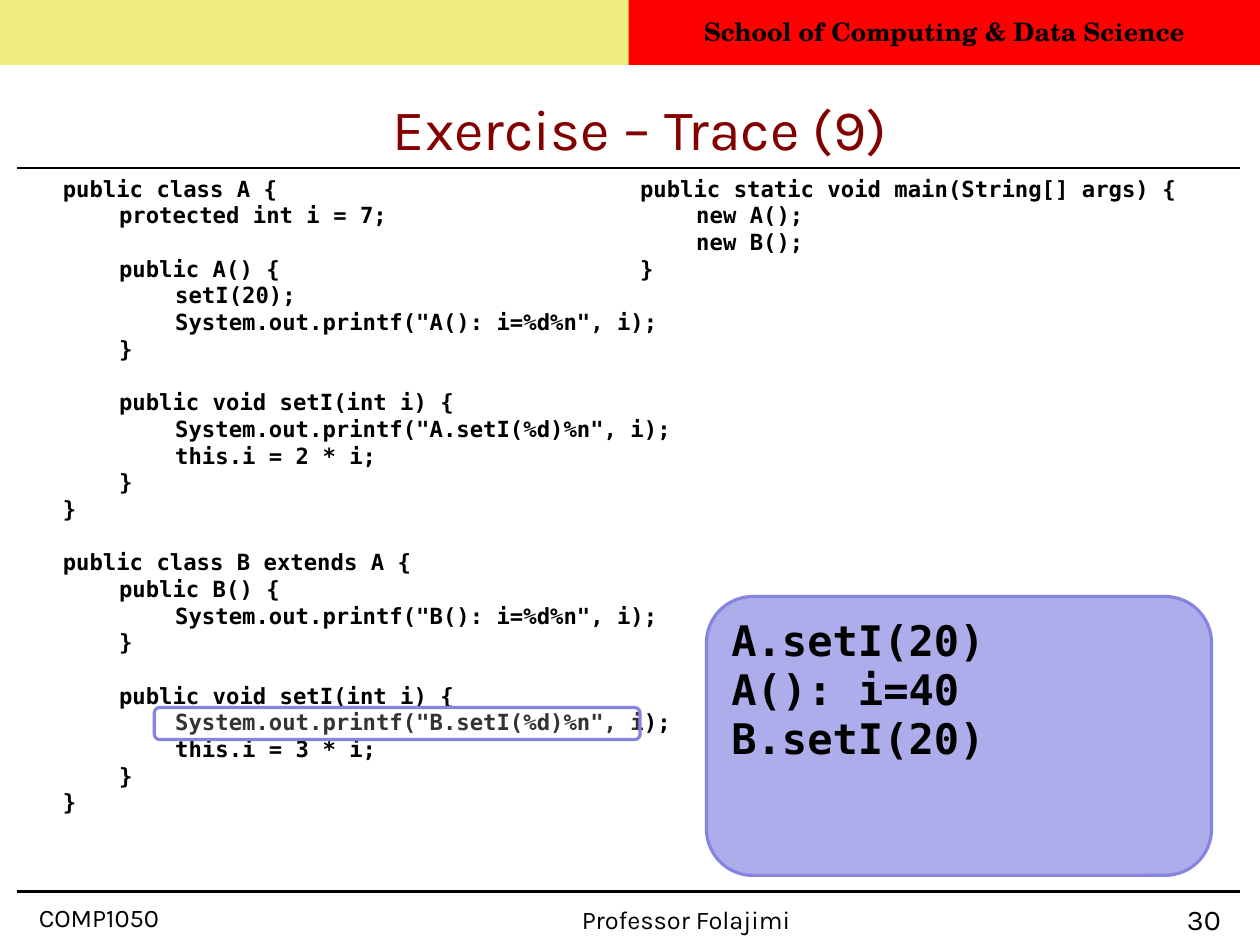
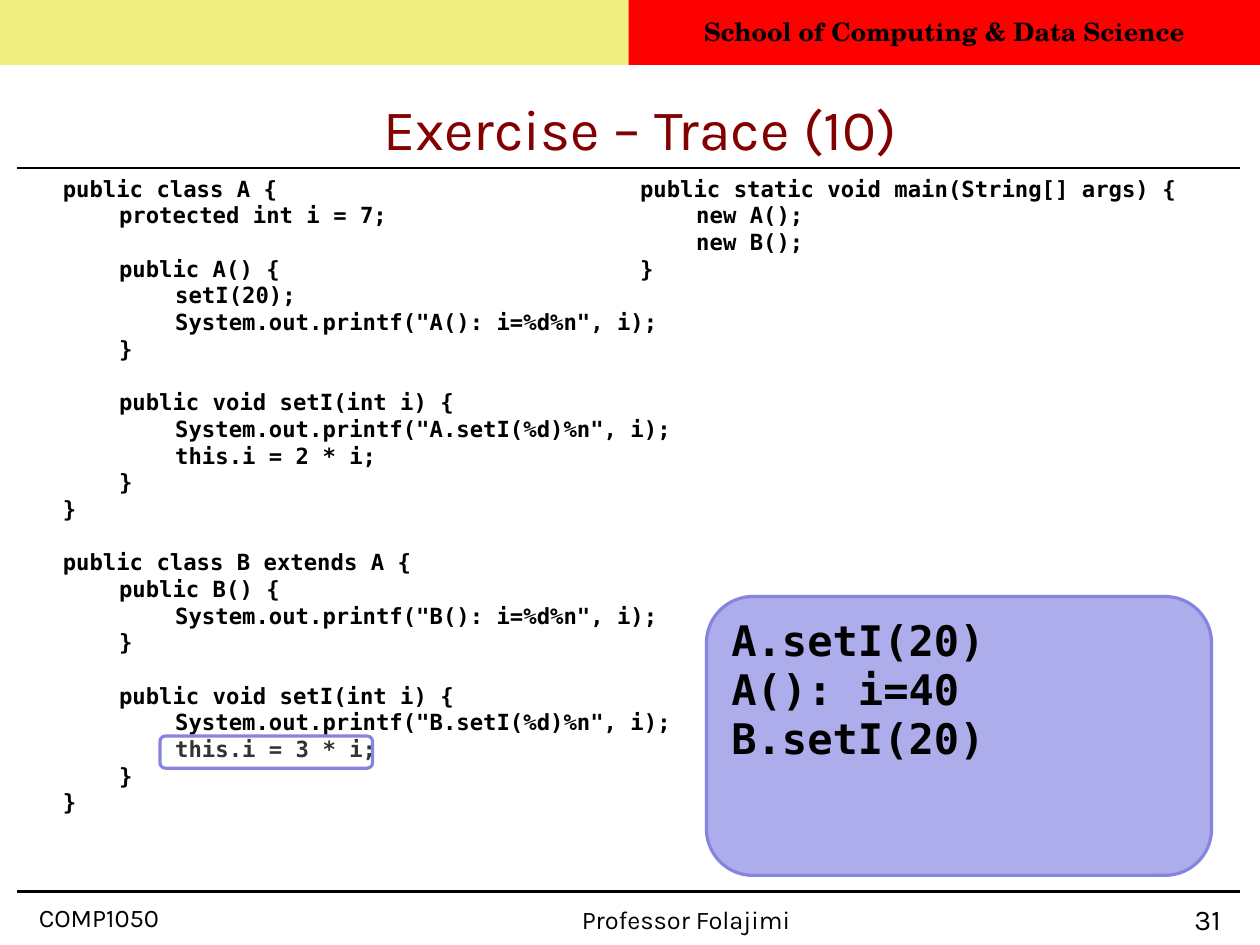
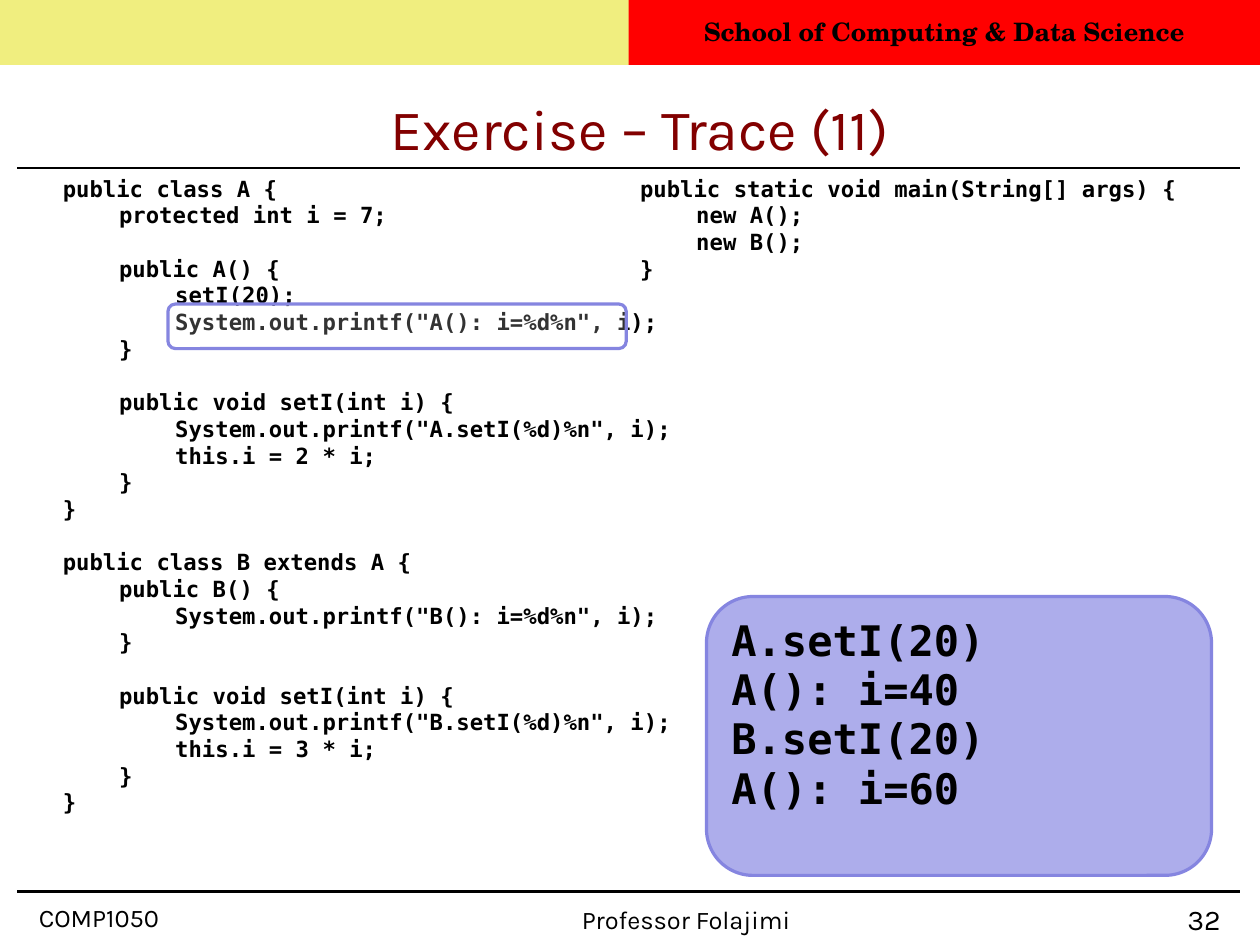
from pptx import Presentation
from pptx.dml.color import RGBColor
from pptx.enum.shapes import MSO_CONNECTOR, MSO_SHAPE
from pptx.enum.text import MSO_ANCHOR, PP_ALIGN
from pptx.oxml.ns import qn
from pptx.util import Pt
from lxml import etree

RECT, ROUND = MSO_SHAPE.RECTANGLE, MSO_SHAPE.ROUNDED_RECTANGLE
STRAIGHT = MSO_CONNECTOR.STRAIGHT
LEFT, CENTER, RIGHT = PP_ALIGN.LEFT, PP_ALIGN.CENTER, PP_ALIGN.RIGHT
TOP, MIDDLE = MSO_ANCHOR.TOP, MSO_ANCHOR.MIDDLE

BLACK = RGBColor(0x00, 0x00, 0x00)
WHITE = RGBColor(0xFF, 0xFF, 0xFF)
RED = RGBColor(0xFF, 0x00, 0x00)
YELLOW = RGBColor(0xE3, 0xDE, 0x00)
MAROON = RGBColor(0x82, 0x00, 0x00)
LILAC = RGBColor(0xAD, 0xAD, 0xEB)
VIOLET = RGBColor(0x85, 0x85, 0xE0)

SANS, SERIF, MONO = "Karla", "TeX Gyre Schola", "DejaVu Sans Mono"
WIDTH, HEIGHT = 793.7, 595.3
INDENT = 35.4   # one code level
PITCH = 16.8    # one code line

CLASSES = """\
public class A {
    protected int i = 7;

    public A() {
        setI(20);
        System.out.printf("A(): i=%d%n", i);
    }

    public void setI(int i) {
        System.out.printf("A.setI(%d)%n", i);
        this.i = 2 * i;
    }
}

public class B extends A {
    public B() {
        System.out.printf("B(): i=%d%n", i);
    }

    public void setI(int i) {
        System.out.printf("B.setI(%d)%n", i);
        this.i = 3 * i;
    }
}"""

MAIN = """\
public static void main(String[] args) {
    new A();
    new B();
}"""

OUTPUT = ["A.setI(20)", "A(): i=40", "B.setI(20)"]

# Trace step, frame around the current line, printed output
STEPS = [
    (9, (97.2, 445.7, 306, 20.2), OUTPUT),
    (10, (100.8, 463.7, 133.9, 20.2), OUTPUT),
    (11, (105.8, 191.5, 288.7, 28.1), OUTPUT + ["A(): i=60"]),
]
FIRST_PAGE = 30


def style(para, text, size, face, color=BLACK, bold=False,
          align=LEFT, space=1.0):
    para.text = text
    para.alignment = align
    para.line_spacing = space
    font = para.font
    font.size, font.name, font.bold = Pt(size), face, bold
    font.color.rgb = color


def add_lines(frame, lines, size, pitch):
    """Bold code; leading spaces set the level, a blank line sets a gap."""
    para, gap = frame.paragraphs[0], 0
    for num, line in enumerate(lines):
        code = line.lstrip()
        if not code:
            gap = pitch
            continue
        if num:
            para = frame.add_paragraph()
        style(para, code, size, MONO, bold=True, space=Pt(pitch))
        para.space_before = Pt(gap)
        level = (len(line) - len(code)) // 4
        props = para._p.get_or_add_pPr()
        props.set("marL", str(Pt(level * INDENT)))
        props.set("indent", "0")
        gap = 0


def add_box(slide, area, anchor=TOP, top=0):
    frame = slide.shapes.add_textbox(*map(Pt, area)).text_frame
    frame.word_wrap = True
    frame.margin_left = frame.margin_right = frame.margin_bottom = 0
    frame.margin_top = Pt(top)
    frame.vertical_anchor = anchor
    return frame


def add_panel(slide, kind, area, fill, edge=None, alpha=100):
    shape = slide.shapes.add_shape(kind, *map(Pt, area))
    shape.shadow.inherit = False
    shape.fill.solid()
    shape.fill.fore_color.rgb = fill
    if alpha < 100:
        color = shape._element.spPr.find(qn("a:solidFill"))[0]
        etree.SubElement(color, qn("a:alpha")).set("val", str(alpha * 1000))
    if edge is None:
        shape.line.fill.background()
    else:
        shape.line.color.rgb = edge
        shape.line.width = Pt(2)
    return shape


def add_rule(slide, y):
    rule = slide.shapes.add_connector(STRAIGHT, Pt(10.8), Pt(y),
                                      Pt(781.2), Pt(y))
    rule.line.color.rgb = BLACK
    rule.line.width = Pt(1.5)
    etree.SubElement(rule._element.spPr, qn("a:effectLst"))


def add_note(slide, area, text, size=16, align=LEFT):
    frame = add_box(slide, area, top=1.4)
    style(frame.paragraphs[0], text, size, SANS, align=align, space=0.93)


def add_base(slide, title, page):
    # Rules and footer
    add_rule(slide, 561.6)
    add_rule(slide, 105.8)
    add_note(slide, (24.5, 568.8, 139, 20), "COMP1050")
    add_note(slide, (366.5, 570.2, 139, 20), "Professor Folajimi")
    add_note(slide, (709.2, 568.8, 59.8, 20), str(page), 18, RIGHT)
    # Top bands
    add_panel(slide, RECT, (0, 0, 396.7, 41), YELLOW, alpha=50)
    band = add_panel(slide, RECT, (396, 0, WIDTH - 396, 41), RED)
    band.text_frame.vertical_anchor = MIDDLE
    style(band.text_frame.paragraphs[0], "School of Computing & Data Science",
          16, SERIF, bold=True, align=CENTER, space=0.98)
    # Title
    frame = add_box(slide, (97.2, 48.2, 612, 57.6), MIDDLE)
    style(frame.paragraphs[0], title, 36, SANS, MAROON,
          align=CENTER, space=1.17)


def add_code(slide, left, width, code):
    frame = add_box(slide, (left, 110.2, width, 421.2))
    add_lines(frame, code.splitlines(), 14, PITCH)


def add_output(slide, lines):
    panel = add_panel(slide, ROUND, (445, 375.8, 318.2, 175.7), LILAC, VIOLET)
    panel.text_frame.vertical_anchor = TOP
    add_lines(panel.text_frame, lines, 26.5, 31)


def main():
    deck = Presentation()
    deck.slide_width, deck.slide_height = Pt(WIDTH), Pt(HEIGHT)
    for page, (step, area, lines) in enumerate(STEPS, FIRST_PAGE):
        slide = deck.slides.add_slide(deck.slide_layouts[6])
        add_base(slide, f"Exercise – Trace ({step})", page)
        add_code(slide, 39.6, 405.4, CLASSES)
        add_code(slide, 403.2, 350.6, MAIN)
        add_panel(slide, ROUND, area, WHITE, VIOLET, alpha=20)
        add_output(slide, lines)
    deck.save("out.pptx")


if __name__ == "__main__":
    main()
